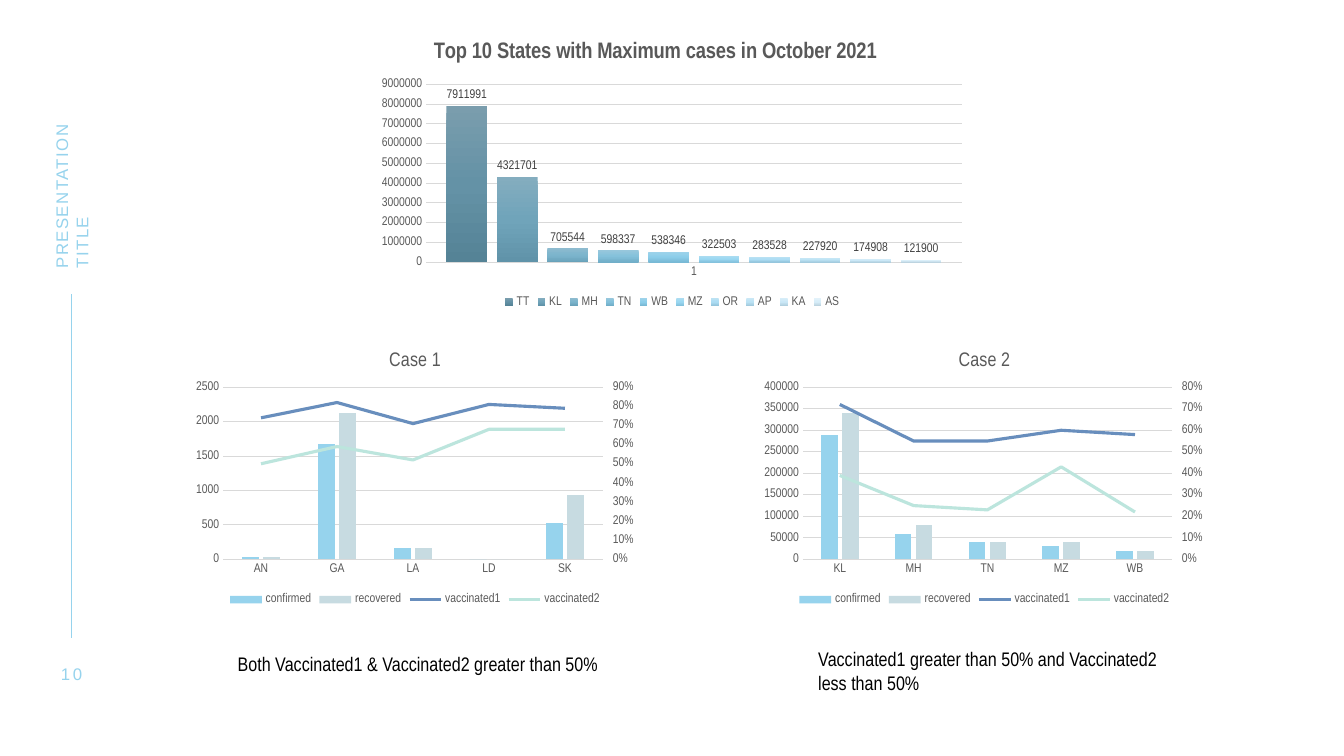
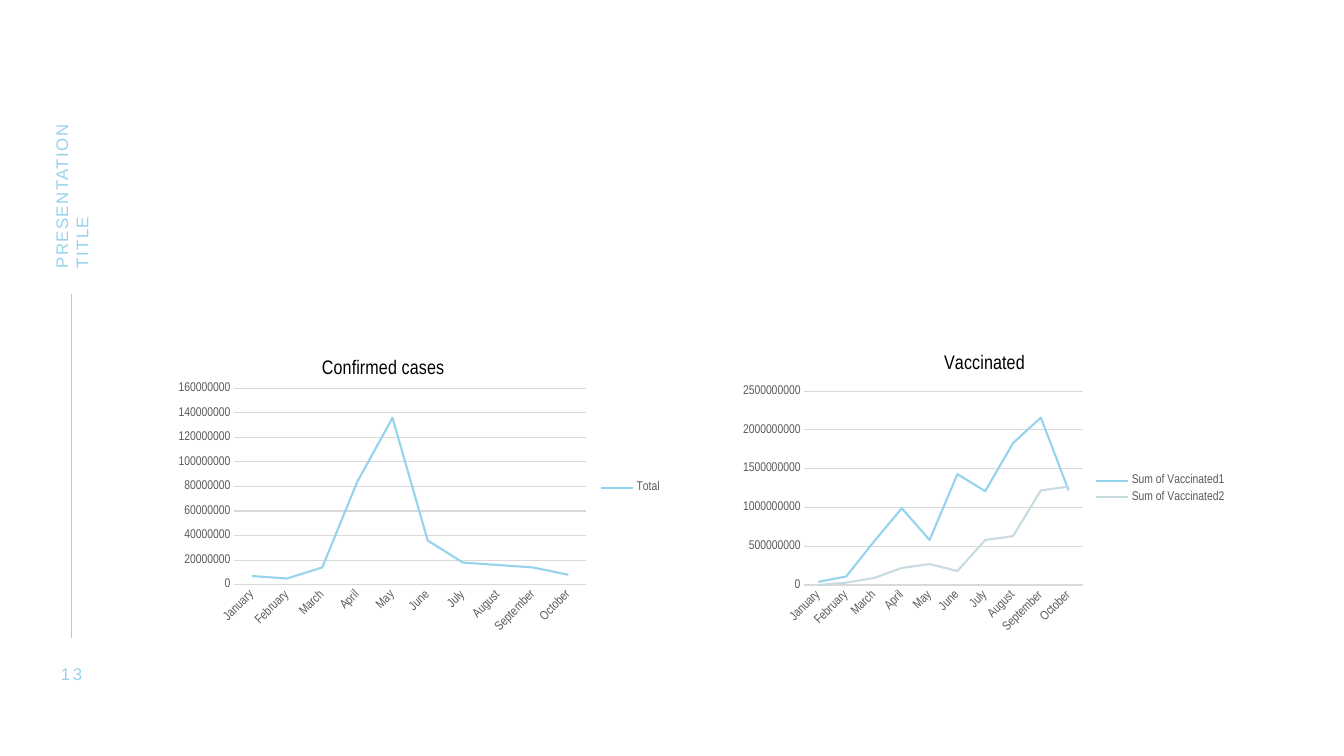
import copy
import pptx
import pptx.chart.axis
import pptx.chart.data
import pptx.chart.series
import pptx.dml.color
import pptx.enum.chart
import pptx.enum.shapes
import pptx.enum.text
import pptx.oxml
import pptx.oxml.ns
import pptx.util

Cm, Pt = pptx.util.Cm, pptx.util.Pt
RGB = pptx.dml.color.RGBColor.from_string
qn, nsdecls = pptx.oxml.ns.qn, pptx.oxml.ns.nsdecls
parse_xml = pptx.oxml.parse_xml
TYPE = pptx.enum.chart.XL_CHART_TYPE
LEGEND = pptx.enum.chart.XL_LEGEND_POSITION
TICK = pptx.enum.chart.XL_TICK_MARK
PP_ALIGN = pptx.enum.text.PP_ALIGN

COLORS = {"sky": "96D3ED", "mist": "C7DBE1", "blue": "688EBD", "mint": "BCE5DD",
          "grid": "D9D9D9", "gray": "595959", "label": "404040", "black": "000000"}
NARROW = "Arial Narrow"


def write(tf, text, size=14, color="black", font=NARROW, bold=False, align=None, spacing=0):
    """Put one formatted run of text into a text frame."""
    p = tf.paragraphs[0]
    p.alignment = align
    r = p.add_run()
    r.text = text
    r.font.size, r.font.name, r.font.bold = Pt(size), font, bold
    r.font.color.rgb = RGB(COLORS[color])
    if spacing:
        r.font._element.set("spc", str(spacing * 100))


def add_chart(s, kind, box, cats, series, fills, title, title_at, plot_at, top, step,
              legend, title_format, right_top=None, line_width=2.25):
    """Add a chart, with places in percent; right_top puts the last two series on a right axis."""
    data = pptx.chart.data.CategoryChartData()
    data.categories = cats
    for name, values in series:
        data.add_series(name, values)
    chart = s.shapes.add_chart(kind, *[Cm(v) for v in box], data).chart
    chart.font.size, chart.font.name = Pt(9), NARROW
    chart.font.color.rgb = RGB(COLORS["gray"])
    chart.has_legend = True
    chart.legend.position = legend
    chart.legend.include_in_layout = False
    chart.has_title = True

    # Fixed places for the title and the inner plot area
    plot_area = chart._chartSpace.chart.plotArea
    for parent, place in ((chart.chart_title._element, title_at), (plot_area, plot_at)):
        for old in parent.findall(qn("c:layout")):
            parent.remove(old)
        target = '<c:layoutTarget val="inner"/>' if len(place) == 4 else ""
        modes = "".join(f'<c:{a}Mode val="edge"/>' for a in "xy")
        values = "".join(f'<c:{a} val="{v / 100:.3f}"/>' for a, v in zip("xywh", place))
        parent.insert(0, parse_xml(f'<c:layout {nsdecls("c")}><c:manualLayout>{target}{modes}'
                                   f'{values}</c:manualLayout></c:layout>'))
    write(chart.chart_title.text_frame, title, **title_format)

    cat_axis, val_axis = chart.category_axis, chart.value_axis
    for axis in (cat_axis, val_axis):
        axis.major_tick_mark = axis.minor_tick_mark = TICK.NONE
        axis.tick_labels.font.size = Pt(9)
        axis.tick_labels.font.name = NARROW
        axis.tick_labels.font.color.rgb = RGB(COLORS["gray"])
    # Automatic label angle
    cat_axis._element.txPr.bodyPr.set("rot", "-60000000")
    cat_axis.format.line.color.rgb = RGB(COLORS["grid"])
    cat_axis.format.line.width = Pt(0.75)
    val_axis.format.line.fill.background()
    val_axis.minimum_scale, val_axis.maximum_scale, val_axis.major_unit = 0, top, step
    val_axis.tick_labels.number_format = "0"
    val_axis.tick_labels.number_format_is_linked = False
    val_axis.has_major_gridlines = True
    val_axis.major_gridlines.format.line.color.rgb = RGB(COLORS["grid"])
    val_axis.major_gridlines.format.line.width = Pt(0.75)

    plot = chart.plots[0]
    plot.vary_by_categories = False
    if right_top:
        lines = parse_xml(f'<c:lineChart {nsdecls("c")}><c:grouping val="standard"/>'
                          '<c:varyColors val="0"/><c:marker val="1"/>'
                          '<c:axId val="5001"/><c:axId val="5002"/></c:lineChart>')
        for ser in list(plot.series)[-2:]:
            for flag in ser._element.findall(qn("c:invertIfNegative")):
                ser._element.remove(flag)
            lines.find(qn("c:marker")).addprevious(ser._element)
        plot._element.addnext(lines)
        hidden, right = copy.deepcopy(cat_axis._element), copy.deepcopy(val_axis._element)
        for axis, own, other in ((hidden, "5001", "5002"), (right, "5002", "5001")):
            axis.find(qn("c:axId")).set("val", own)
            axis.find(qn("c:crossAx")).set("val", other)
            plot_area.findall(qn("c:valAx"))[-1].addnext(axis)
        right.find(qn("c:axPos")).set("val", "r")
        right.find(qn("c:crosses")).set("val", "max")
        pptx.chart.axis.CategoryAxis(hidden).visible = False
        right_axis = pptx.chart.axis.ValueAxis(right)
        right_axis.has_major_gridlines = False
        right_axis.major_tick_mark = TICK.OUTSIDE
        right_axis.maximum_scale, right_axis.major_unit = right_top, 0.1
        right_axis.tick_labels.number_format = "0%"

    for ser, fill in zip([ser for plot in chart.plots for ser in plot.series], fills):
        if isinstance(ser, pptx.chart.series.LineSeries):
            ser.smooth = False
            ser.marker.style = pptx.enum.chart.XL_MARKER_STYLE.NONE
            ser.format.line.color.rgb = RGB(COLORS[fill])
            ser.format.line.width = Pt(line_width)
        elif isinstance(fill, str):
            ser.format.fill.solid()
            ser.format.fill.fore_color.rgb = RGB(COLORS[fill])
        else:
            ser.format.fill.gradient()
            ser.format.fill.gradient_angle = 270
            stops = next(ser._element.iter(qn("a:gsLst")))
            for old in list(stops):
                stops.remove(old)
            for pos, tone in zip((0, 50000, 100000), fill):
                stops.append(parse_xml(f'<a:gs {nsdecls("a")} pos="{pos}">'
                                       f'<a:srgbClr val="{tone}"/></a:gs>'))
    return chart


prs = pptx.Presentation()
prs.slide_width, prs.slide_height = Cm(33.87), Cm(19.05)

# Side rail shared by both slides
slides = []
for number in ("10", "13"):
    s = prs.slides.add_slide(prs.slide_layouts[6])
    rail = s.shapes.add_connector(pptx.enum.shapes.MSO_CONNECTOR.STRAIGHT,
                                  Cm(1.8), Cm(7.42), Cm(1.8), Cm(16.08))
    rail.line.color.rgb = RGB(COLORS["sky"])
    rail.line.width = Pt(1)
    rail._element.spPr.append(parse_xml(f'<a:effectLst {nsdecls("a")}/>'))
    for text, box, rotation, align, spacing in (
            (number, (1.17, 16.73, 1.27, 0.51), 0, PP_ALIGN.CENTER, 2),
            ("PRESENTATION TITLE", (-0.67, 4.02, 4.95, 0.53), 270, PP_ALIGN.LEFT, 1)):
        sp = s.shapes.add_textbox(*[Cm(v) for v in box])
        sp.rotation = rotation
        tf = sp.text_frame
        tf.word_wrap = True
        tf.vertical_anchor = pptx.enum.text.MSO_ANCHOR.MIDDLE
        tf.margin_left = tf.margin_right = tf.margin_top = tf.margin_bottom = 0
        write(tf, text, size=12, color="sky", font="Arial", align=align, spacing=spacing)
    slides.append(s)
cases_slide, trends_slide = slides

# Slide 1: states with the most cases
states = [
    ("TT", 7911991, ("7A9DAD", "6492A6", "558396")),
    ("KL", 4321701, ("84ADBF", "70A4BA", "6093A9")),
    ("MH", 705544, ("8EBBCF", "7BB4CC", "69A2BA")),
    ("TN", 598337, ("97C7DC", "84C1DB", "71AEC8")),
    ("WB", 538346, ("9FD3EA", "8DCEEA", "78B9D5")),
    ("MZ", 322503, ("ACDCF1", "9BD8F2", "84C2DD")),
    ("OR", 283528, ("BCE2F3", "ADDDF4", "95C6DD")),
    ("AP", 227920, ("CAE7F5", "BCE3F5", "A3CBDE")),
    ("KA", 174908, ("D7EDF8", "CBE8F7", "B1D0DF")),
    ("AS", 121900, ("E3F2FA", "D8EEF9", "BDD4E0")),
]
chart = add_chart(
    cases_slide, TYPE.COLUMN_CLUSTERED, (9.32, 0.71, 15.24, 7.16), ["1"],
    [(name, [cases]) for name, cases, tones in states], [tones for name, cases, tones in states],
    "Top 10 States with Maximum cases in October 2021", (9.9, 2.7), (9.3, 19.8, 88.6, 62.6),
    9000000, 1000000, LEGEND.BOTTOM, {"size": 16, "bold": True, "color": "gray"})
chart.category_axis.format.line.width = Pt(1)
plot = chart.plots[0]
plot.gap_width, plot.overlap = 100, -24
plot.has_data_labels = True
labels = plot.data_labels
labels.show_value = True
labels.position = pptx.enum.chart.XL_LABEL_POSITION.OUTSIDE_END
labels.font.size, labels.font.name = Pt(9), NARROW
labels.font.color.rgb = RGB(COLORS["label"])

# Slide 1: two cases, counts as columns and vaccination shares as lines
measures = ("confirmed", "recovered", "vaccinated1", "vaccinated2")
cases = [
    ("Case 1", 4.7, ["AN", "GA", "LA", "LD", "SK"], (8, 18.8, 83.2, 62.8), 2500, 500, 0.9,
     ([30, 1680, 160, 0, 530], [40, 2130, 160, 0, 930],
      [0.74, 0.82, 0.71, 0.81, 0.79], [0.5, 0.59, 0.52, 0.68, 0.68])),
    ("Case 2", 19.05, ["KL", "MH", "TN", "MZ", "WB"], (10.3, 18.8, 80.8, 62.8), 400000, 50000, 0.8,
     ([290000, 60000, 40000, 30000, 20000], [340000, 80000, 40000, 40000, 20000],
      [0.72, 0.55, 0.55, 0.6, 0.58], [0.39, 0.25, 0.23, 0.43, 0.22])),
]
for title, left, cats, plot_at, top, step, right_top, values in cases:
    chart = add_chart(cases_slide, TYPE.COLUMN_CLUSTERED, (left, 8.46, 11.51, 6.91), cats,
                      list(zip(measures, values)), ("sky", "mist", "blue", "mint"), title,
                      (43.6, 3.7), plot_at, top, step, LEGEND.BOTTOM, {"color": "gray"},
                      right_top=right_top)
    chart.plots[0].gap_width, chart.plots[0].overlap = 219, -27

for text, box, wrap in (
        ("Both Vaccinated1 & Vaccinated2 greater than 50%", (5.74, 16.31, 9.73, 0.86), False),
        ("Vaccinated1 greater than 50% and Vaccinated2 less than 50%",
         (20.37, 16.18, 9.73, 1.45), True)):
    tf = cases_slide.shapes.add_textbox(*[Cm(v) for v in box]).text_frame
    tf.word_wrap = wrap
    write(tf, text)

# Slide 2: monthly trends
months = ["January", "February", "March", "April", "May", "June", "July", "August",
          "September", "October"]
million = 1000000
trends = [
    ("Confirmed cases", (4.24, 8.46, 12.7, 7.67), (29.8, 6), (13.1, 17.3, 69.8, 64.5), 160, 20,
     [("Total", [7, 5, 14, 84, 136, 36, 18, 16, 14, 8])]),
    ("Vaccinated", (18.47, 8.51, 12.7, 7.62), (41.2, 3.7), (14.2, 17.7, 55.2, 64.1), 2500, 500,
     [("Sum of Vaccinated1", [40, 110, 560, 990, 580, 1430, 1210, 1830, 2160, 1220]),
      ("Sum of Vaccinated2", [0, 30, 90, 220, 270, 180, 580, 630, 1220, 1270])]),
]
for title, box, title_at, plot_at, top, step, series in trends:
    add_chart(trends_slide, TYPE.LINE, box, months,
              [(name, [v * million for v in values]) for name, values in series],
              ("sky", "mist"), title, title_at, plot_at, top * million, step * million,
              LEGEND.RIGHT, {}, line_width=1.5)

prs.save("out.pptx")
